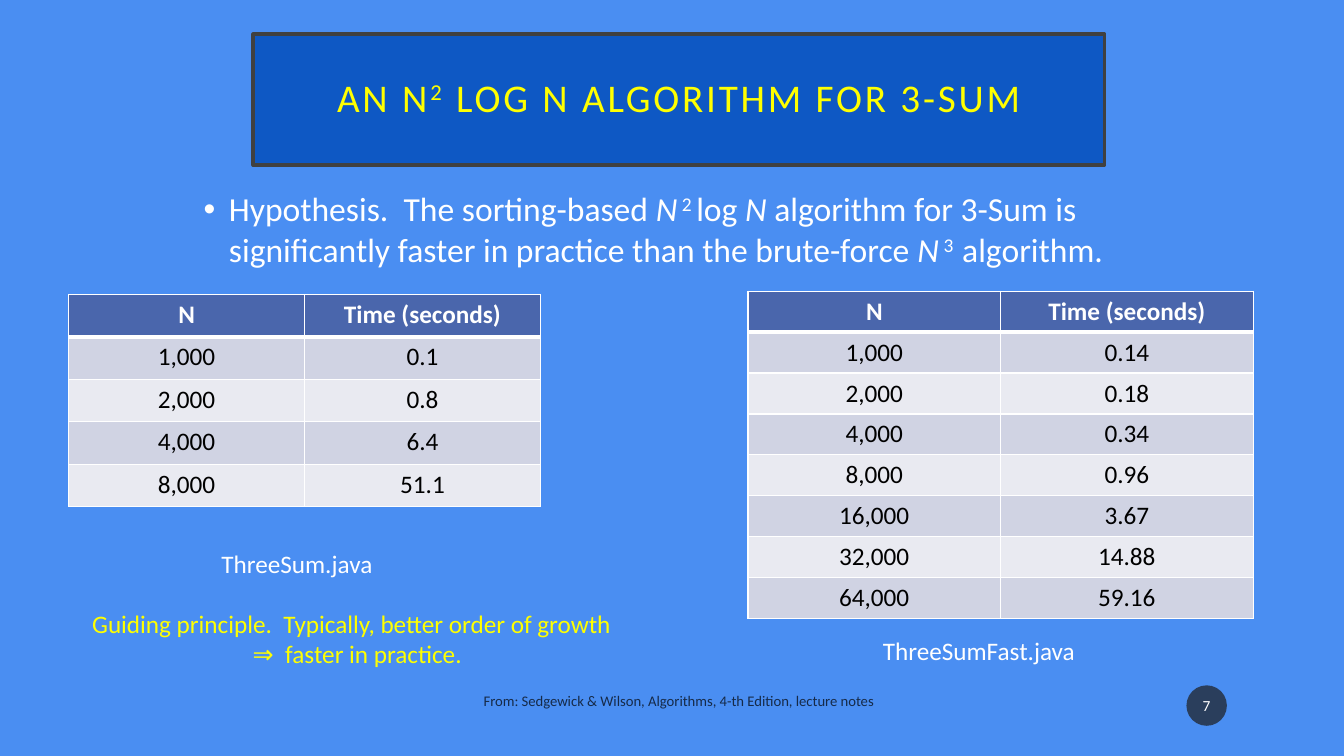
from dataclasses import dataclass
from lxml.etree import SubElement
from pptx import Presentation
from pptx.dml.color import RGBColor
from pptx.enum.shapes import MSO_SHAPE
from pptx.enum.text import MSO_ANCHOR, PP_ALIGN
from pptx.oxml.ns import qn
from pptx.util import Cm, Pt


@dataclass(frozen=True)
class Theme:
    font: str = "Calibri"
    background: str = "4A8EF2"
    banner: str = "0E58C4"
    banner_line: str = "404040"
    accent: str = "FFFF00"
    light: str = "FFFFFF"
    dark: str = "000000"
    badge: str = "1D1D1D"
    header: str = "4A66AC"
    bands: tuple = ("D0D3E3", "E9EAF1")
    title_size: float = 28
    body_size: float = 24
    text_size: float = 18
    badge_size: float = 11
    source_size: float = 10.5


THEME = Theme()


def rgb(color):
    return RGBColor.from_string(color)


def style_runs(paragraph, size, color, bold=False):
    for run in paragraph.runs:
        run.font.name = THEME.font
        run.font.size = Pt(size)
        run.font.bold = bold
        run.font.color.rgb = rgb(color)


def add_pieces(paragraph, pieces):
    for wording, style in pieces:
        run = paragraph.add_run()
        run.text = wording
        if style == "italic":
            run.font.italic = True
        if style == "super":
            run.font._element.set("baseline", "30000")


def set_alpha(fill, percent):
    color = fill._xPr.find(qn("a:solidFill"))[0]
    SubElement(color, qn("a:alpha"), val=str(percent * 1000))


def add_panel(slide, kind, box, color):
    panel = slide.shapes.add_shape(kind, *map(Cm, box))
    panel.shadow.inherit = False
    panel.fill.solid()
    panel.fill.fore_color.rgb = rgb(color)
    panel.line.fill.background()
    panel.text_frame.word_wrap = True
    panel.text_frame.vertical_anchor = MSO_ANCHOR.MIDDLE
    return panel


def add_text(slide, box, wording, size, color, align=PP_ALIGN.LEFT, anchor=MSO_ANCHOR.TOP):
    frame = slide.shapes.add_textbox(*map(Cm, box)).text_frame
    frame.word_wrap = True
    frame.vertical_anchor = anchor
    frame.text = wording
    for paragraph in frame.paragraphs:
        paragraph.alignment = align
        style_runs(paragraph, size, color)
    return frame


def add_title(slide, box):
    banner = add_panel(slide, MSO_SHAPE.RECTANGLE, box, THEME.banner)
    banner.line.color.rgb = rgb(THEME.banner_line)
    banner.line.width = Pt(2.5)
    heading = banner.text_frame.paragraphs[0]
    heading.alignment = PP_ALIGN.CENTER
    heading.line_spacing = 0.9
    add_pieces(heading, [("AN N", ""), ("2", "super"), (" LOG N ALGORITHM FOR 3-SUM", "")])
    style_runs(heading, THEME.title_size, THEME.accent)
    for run in heading.runs:
        run.font._element.set("spc", "200")


def add_hypothesis(slide, box):
    hypothesis = add_text(slide, box, "", THEME.body_size, THEME.light).paragraphs[0]
    hypothesis.space_before = Pt(10)
    add_pieces(hypothesis, [
        ("Hypothesis.\u00a0 The sorting-based ", ""),
        ("N", "italic"), (" 2 ", "super"), ("log", ""), (" N", "italic"),
        (" algorithm for 3-Sum is significantly faster in practice than the brute-force ", ""),
        ("N", "italic"), (" 3\u00a0 ", "super"), ("algorithm.", ""),
    ])
    style_runs(hypothesis, THEME.body_size, THEME.light)
    properties = hypothesis._p.get_or_add_pPr()
    properties.set("marL", str(Cm(0.64)))
    properties.set("indent", str(-Cm(0.64)))
    bullet_color = SubElement(properties, qn("a:buClr"))
    SubElement(bullet_color, qn("a:srgbClr"), val=THEME.light)
    SubElement(properties, qn("a:buFont"), typeface="Arial")
    SubElement(properties, qn("a:buChar"), char="•")


def add_borders(cell, top, bottom):
    properties = cell._tc.get_or_add_tcPr()
    for side, width in (("L", 1), ("R", 1), ("T", top), ("B", bottom)):
        border = SubElement(properties, qn(f"a:ln{side}"), w=str(Pt(width)))
        fill = SubElement(border, qn("a:solidFill"))
        SubElement(fill, qn("a:srgbClr"), val=THEME.light)


def add_timings(slide, box, row_height, timings):
    left, top, width = box
    records = [("N", "Time (seconds)"), *timings]
    table = slide.shapes.add_table(
        len(records), 2, Cm(left), Cm(top), Cm(width), Cm(row_height * len(records))).table
    for column in table.columns:
        column.width = Cm(width / 2)
    for index, record in enumerate(records):
        table.rows[index].height = Cm(row_height)
        is_header = index == 0
        for cell, wording in zip(table.rows[index].cells, record):
            add_borders(cell, 3 if index == 1 else 1, 3 if is_header else 1)
            cell.fill.solid()
            cell.fill.fore_color.rgb = rgb(THEME.header if is_header else THEME.bands[(index - 1) % 2])
            cell.text = wording
            paragraph = cell.text_frame.paragraphs[0]
            paragraph.alignment = PP_ALIGN.CENTER
            style_runs(paragraph, THEME.text_size, THEME.light if is_header else THEME.dark, is_header)


def add_source(slide, box):
    source = add_text(slide, box, "From: Sedgewick & Wilson, Algorithms, 4-th Edition, lecture notes",
                      THEME.source_size, THEME.dark, PP_ALIGN.CENTER, MSO_ANCHOR.MIDDLE)
    set_alpha(source.paragraphs[0].runs[0].font.fill, 70)


def add_page_number(slide, box):
    badge = add_panel(slide, MSO_SHAPE.OVAL, box, THEME.badge)
    set_alpha(badge.fill, 70)
    frame = badge.text_frame
    frame.margin_left = frame.margin_right = Cm(0.05)
    frame.text = "7"
    frame.paragraphs[0].alignment = PP_ALIGN.CENTER
    style_runs(frame.paragraphs[0], THEME.badge_size, THEME.light)


def build_slide(presentation):
    slide = presentation.slides.add_slide(presentation.slide_layouts[6])
    slide.background.fill.solid()
    slide.background.fill.fore_color.rgb = rgb(THEME.background)
    add_title(slide, (6.38, 0.86, 21.46, 3.3))
    add_hypothesis(slide, (4.88, 4.62, 24.51, 3.28))
    add_page_number(slide, (29.9, 17.27, 1.02, 1.02))
    add_timings(slide, (1.73, 7.42, 11.89), 1.07, [
        ("1,000", "0.1"), ("2,000", "0.8"), ("4,000", "6.4"), ("8,000", "51.1")])
    add_timings(slide, (18.85, 7.34, 12.73), 1.03, [
        ("1,000", "0.14"), ("2,000", "0.18"), ("4,000", "0.34"), ("8,000", "0.96"),
        ("16,000", "3.67"), ("32,000", "14.88"), ("64,000", "59.16")])
    add_text(slide, (5.33, 13.69, 7.87, 1.02), "ThreeSum.java", THEME.text_size, THEME.light)
    add_text(slide, (22, 15.88, 7.87, 1.02), "ThreeSumFast.java", THEME.text_size, THEME.light)
    add_source(slide, (8.92, 17.2, 16.38, 0.89))
    add_text(slide, (0.84, 15.21, 16.33, 2.57),
             "Guiding principle.\u00a0 Typically, better order of growth\u00a0 \n⇒\u00a0 faster in practice.",
             THEME.text_size, THEME.accent, PP_ALIGN.CENTER)


presentation = Presentation()
presentation.slide_width = Cm(33.87)
presentation.slide_height = Cm(19.05)
build_slide(presentation)
presentation.save("out.pptx")
